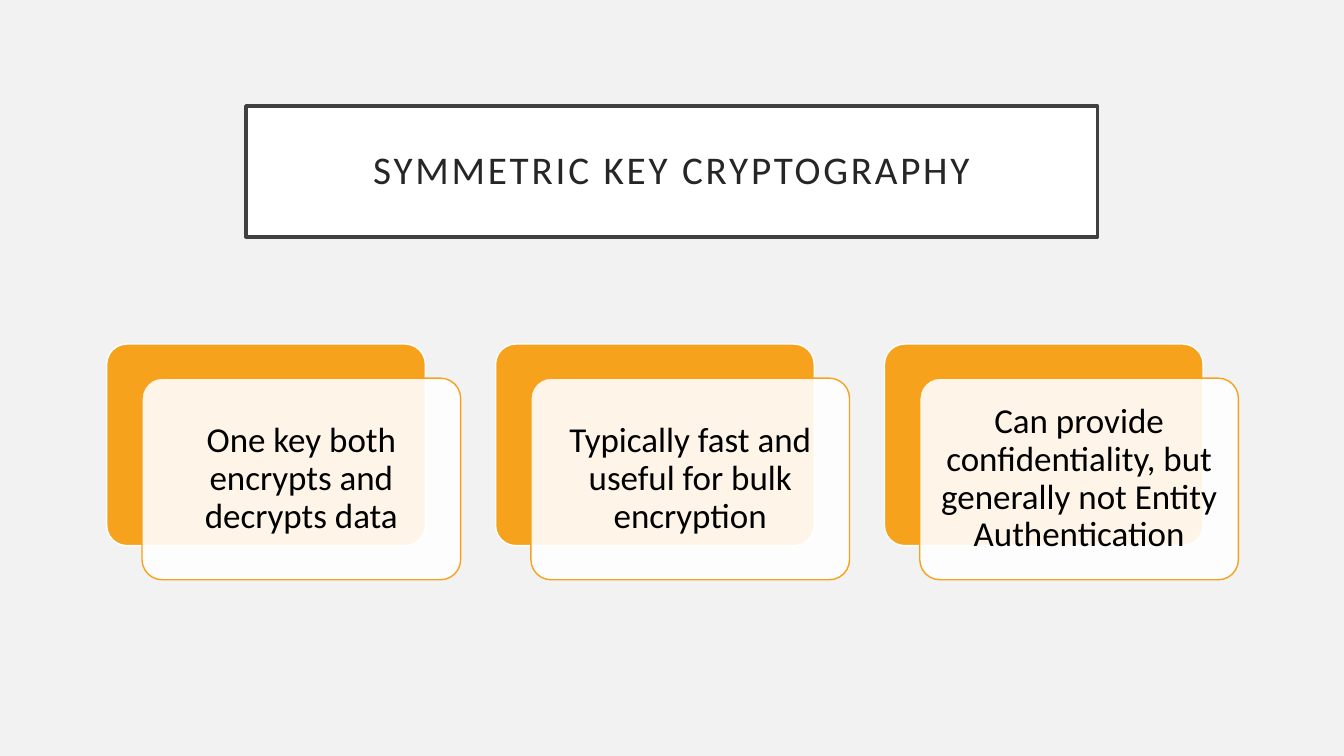
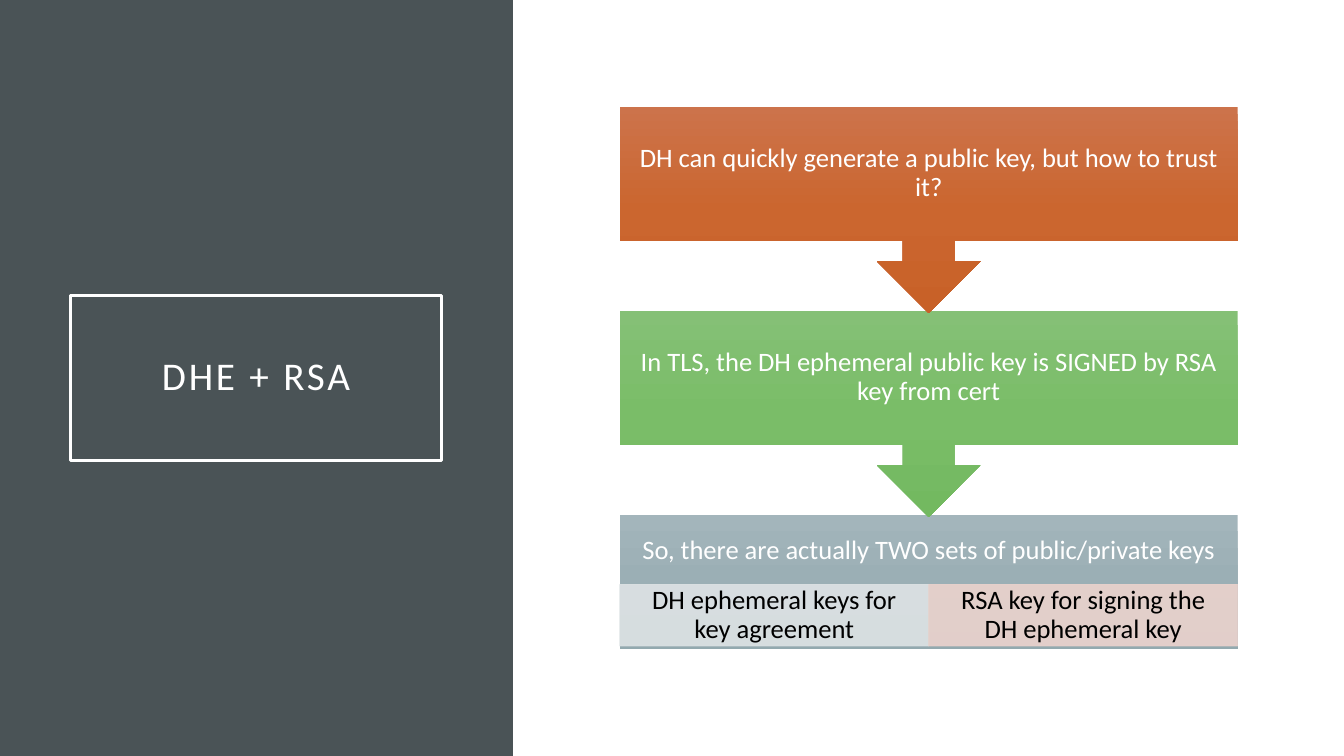
from copy import deepcopy

from pptx import Presentation
from pptx.dml.color import RGBColor
from pptx.enum.shapes import MSO_SHAPE as Shape
from pptx.enum.text import MSO_ANCHOR as Anchor, MSO_AUTO_SIZE as AutoSize, PP_ALIGN as Align
from pptx.oxml.ns import qn
from pptx.oxml.xmlchemy import OxmlElement
from pptx.util import Cm, Pt

FONT = "Calibri"
WHITE = RGBColor(0xFF, 0xFF, 0xFF)
BLACK = RGBColor(0x00, 0x00, 0x00)
PALE = RGBColor(0xF2, 0xF2, 0xF2)
INK = RGBColor(0x26, 0x26, 0x26)
FRAME = RGBColor(0x40, 0x40, 0x40)
SLATE = RGBColor(0x4A, 0x53, 0x56)
AMBER = RGBColor(0xF6, 0xA2, 0x1D)
MIST = RGBColor(0xDE, 0xE3, 0xE5)
BLUSH = RGBColor(0xEB, 0xD3, 0xCD)
RUST = [RGBColor(0xCC, 0x73, 0x4B), RGBColor(0xCB, 0x66, 0x2F), RGBColor(0xC8, 0x61, 0x28)]
GREEN = [RGBColor(0x85, 0xC0, 0x76), RGBColor(0x7A, 0xBD, 0x68), RGBColor(0x73, 0xB9, 0x60)]
STEEL = [RGBColor(0xA3, 0xB5, 0xBB), RGBColor(0x9B, 0xAF, 0xB5), RGBColor(0x93, 0xA9, 0xAF)]


class Deck:
    """Holds the shared style and the page being built."""

    def __init__(self):
        self.deck = Presentation()
        self.deck.slide_width, self.deck.slide_height = Cm(33.87), Cm(19.05)
        self.page = None

    def add_page(self, background):
        self.page = self.deck.slides.add_slide(self.deck.slide_layouts[5])
        self.page.background.fill.solid()
        self.page.background.fill.fore_color.rgb = background

    def set_text(self, box, text, size, color, insets):
        frame = box.text_frame
        frame.word_wrap = True
        frame.auto_size = AutoSize.NONE
        frame.vertical_anchor = Anchor.MIDDLE
        side, top, bottom = insets
        frame.margin_left = frame.margin_right = Cm(side)
        frame.margin_top, frame.margin_bottom = Cm(top), Cm(bottom)
        para = frame.paragraphs[0]
        para.text = text
        para.alignment = Align.CENTER
        para.line_spacing = 0.9
        para.font.name, para.font.size = FONT, Pt(size)
        para.font.color.rgb = color
        return para

    def outline(self, box, color, width):
        box.line.color.rgb = color
        box.line.width = Pt(width)

    def title(self, text, area, color, frame_color, fill=None):
        box = self.page.shapes.title
        box.left, box.top, box.width, box.height = map(Cm, area)
        if fill is not None:
            box.fill.solid()
            box.fill.fore_color.rgb = fill
        self.outline(box, frame_color, 2.5)
        para = self.set_text(box, text, 28, color, (0.51, 0.51, 0.51))
        para.runs[0]._r.get_or_add_rPr().set("spc", "200")

    def shape(self, kind, area, fill, line=None, width=1):
        box = self.page.shapes.add_shape(kind, *map(Cm, area))
        box.shadow.inherit = False
        if isinstance(fill, list):
            self.shade(box, fill)
        else:
            box.fill.solid()
            box.fill.fore_color.rgb = fill
        if line is None:
            box.line.fill.background()
        else:
            self.outline(box, line, width)
        if kind == Shape.ROUNDED_RECTANGLE:
            box.adjustments[0] = 0.1
        return box

    def shade(self, box, colors):
        box.fill.gradient()
        box.fill.gradient_angle = 270
        stops = box._element.spPr.find(qn("a:gradFill")).find(qn("a:gsLst"))
        stops.append(deepcopy(stops[-1]))
        for index, (stop, color) in enumerate(zip(box.fill.gradient_stops, colors)):
            stop.position = index / 2
            stop.color.rgb = color

    def fade(self, box, color):
        for node in box._element.spPr.iter(qn("a:srgbClr")):
            if node.get("val") == str(color):
                alpha = OxmlElement("a:alpha")
                alpha.set("val", "90000")
                node.append(alpha)

    def card(self, left, top, text):
        width, height = 8.03, 5.08
        self.shape(Shape.ROUNDED_RECTANGLE, (left, top, width, height), AMBER, WHITE)
        front = self.shape(Shape.ROUNDED_RECTANGLE,
                           (left + 0.89, top + 0.86, width, height), WHITE, AMBER)
        self.fade(front, WHITE)
        self.set_text(front, text, 25, BLACK, (0.25, 0.25, 0.25))

    def side_panel(self, width, color):
        panel = self.shape(Shape.RECTANGLE, (0, 0, width, 19.05), color)
        self.page.shapes._spTree.insert(2, panel._element)

    def step(self, kind, area, colors, text, bottom=0.38):
        box = self.shape(kind, area, colors)
        self.set_text(box, text, 19, WHITE, (0.38, 0.38, bottom))

    def cell(self, area, color, text):
        box = self.shape(Shape.RECTANGLE, area, color, color, 0.5)
        self.fade(box, color)
        self.set_text(box, text, 19, BLACK, (0.38, 0.08, 0.08))


def symmetric_page(deck):
    """Builds the page with three overlapping cards."""
    deck.add_page(PALE)
    deck.title("SYMMETRIC KEY CRYPTOGRAPHY", (6.2, 2.67, 21.46, 3.3), INK, FRAME, WHITE)
    texts = ["One key both encrypts and decrypts data",
             "Typically fast and useful for bulk encryption",
             "Can provide confidentiality, but generally not Entity Authentication"]
    for index, text in enumerate(texts):
        deck.card(2.69 + index * 9.8, 8.67, text)


def signing_page(deck):
    """Builds the page with the downward chain of steps."""
    deck.add_page(WHITE)
    deck.side_panel(12.93, SLATE)
    deck.title("DHE + RSA", (1.78, 7.44, 9.35, 4.17), WHITE, WHITE)
    left, top, width, pitch = 15.62, 2.69, 15.57, 5.14
    deck.step(Shape.RECTANGLE, (left, top + 2 * pitch, width, 3.38), STEEL,
              "So, there are actually TWO sets of public/private keys", 1.93)
    cells = [(MIST, "DH ephemeral keys for key agreement"),
             (BLUSH, "RSA key for signing the DH ephemeral key")]
    for index, (color, text) in enumerate(cells):
        deck.cell((left + index * width / 2, 14.73, width / 2, 1.55), color, text)
    steps = [(GREEN, "In TLS, the DH ephemeral public key is SIGNED by RSA key from cert"),
             (RUST, "DH can quickly generate a public key, but how to trust it?")]
    for index, (colors, text) in enumerate(steps):
        deck.step(Shape.DOWN_ARROW_CALLOUT, (left, top + (1 - index) * pitch, width, 5.2),
                  colors, text)


def main():
    """Builds and saves the deck."""
    deck = Deck()
    symmetric_page(deck)
    signing_page(deck)
    deck.deck.save("out.pptx")


if __name__ == "__main__":
    main()
